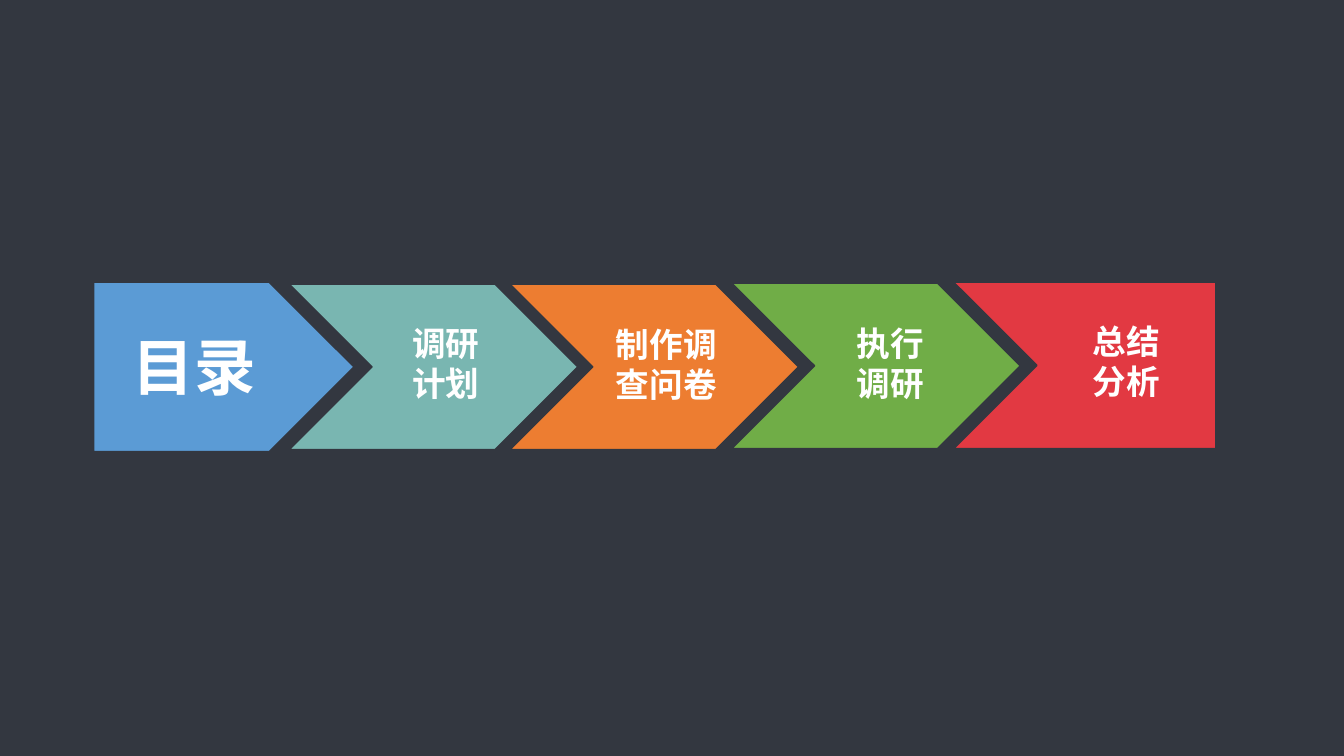
from dataclasses import dataclass

from lxml import etree
from pptx import Presentation
from pptx import util as u
from pptx.dml.color import RGBColor
from pptx.enum import shapes, text
from pptx.oxml import ns

FONT = "Noto Sans CJK SC"
DARK = RGBColor(0x33, 0x37, 0x40)
WHITE = RGBColor(0xFF, 0xFF, 0xFF)
BLUE = RGBColor(0x5B, 0x9B, 0xD5)
TEAL = RGBColor(0x79, 0xB6, 0xB1)
ORANGE = RGBColor(0xED, 0x7D, 0x31)
GREEN = RGBColor(0x70, 0xAD, 0x47)
RED = RGBColor(0xE2, 0x39, 0x42)
LINE_PITCH = 1.18


@dataclass(frozen=True)
class Box:
    """Place and size in inches."""
    x: float
    y: float
    w: float
    h: float


@dataclass(frozen=True)
class Arrow:
    """A preset arrow step."""
    kind: shapes.MSO_SHAPE
    box: Box
    color: RGBColor


@dataclass(frozen=True)
class Label:
    """Text lines of one step."""
    lines: tuple[str, ...]
    box: Box
    size: int = 24


ARROWS = [
    Arrow(shapes.MSO_SHAPE.PENTAGON, Box(0.93, 2.8, 2.58, 1.68), BLUE),
    Arrow(shapes.MSO_SHAPE.CHEVRON, Box(2.87, 2.82, 2.86, 1.64), TEAL),
    Arrow(shapes.MSO_SHAPE.CHEVRON, Box(5.06, 2.82, 2.86, 1.64), ORANGE),
    Arrow(shapes.MSO_SHAPE.CHEVRON, Box(7.26, 2.81, 2.86, 1.64), GREEN),
]
LAST_STEP = Box(9.46, 2.8, 2.6, 1.65)
LABELS = [
    Label(("目录",), Box(1.22, 3.22, 1.43, 0.83), 44),
    Label(("调研", "计划"), Box(3.99, 3.15, 1.54, 0.9)),
    Label(("制作调", "查问卷"), Box(6.01, 3.16, 1.44, 0.9)),
    Label(("执行", "调研"), Box(8.4, 3.15, 1.24, 0.9)),
    Label(("总结", "分析"), Box(10.74, 3.13, 1.38, 0.9)),
]


def place(box: Box) -> list[u.Length]:
    """Return the box as four lengths."""
    return [u.Inches(v) for v in (box.x, box.y, box.w, box.h)]


def paint(s, color: RGBColor) -> None:
    """Fill a shape and outline it in the background colour."""
    s.shadow.inherit = False
    s.fill.solid()
    s.fill.fore_color.rgb = color
    s.line.color.rgb = DARK
    s.line.width = u.Pt(1)


def add_last_step(slide, box: Box) -> None:
    """Draw the notched block with a flat right end."""
    x, y, w, h = place(box)
    outline = [(x + w, y), (x + w, y + h), (x, y + h), (x + h // 2, y + h // 2)]
    builder = slide.shapes.build_freeform(x, y)
    builder.add_line_segments(outline, close=True)
    paint(builder.convert_to_shape(), RED)


def add_label(slide, label: Label) -> None:
    """Write the lines of a step as paragraphs."""
    tf = slide.shapes.add_textbox(*place(label.box)).text_frame
    frame_format = {"word_wrap": True, "margin_top": u.Inches(0.06),
                    "auto_size": text.MSO_AUTO_SIZE.SHAPE_TO_FIT_TEXT}
    for name, value in frame_format.items():
        setattr(tf, name, value)
    for i, line in enumerate(label.lines):
        p = tf.add_paragraph() if i else tf.paragraphs[0]
        p.line_spacing = u.Pt(label.size * LINE_PITCH)
        r = p.add_run()
        r.text = line
        run_format = {"size": u.Pt(label.size), "bold": True, "name": FONT}
        for name, value in run_format.items():
            setattr(r.font, name, value)
        r.font.color.rgb = WHITE
        ea = etree.Element(ns.qn("a:ea"), typeface=FONT)
        r.font._element.find(ns.qn("a:latin")).addnext(ea)


def main() -> None:
    """Build and save the contents slide."""
    prs = Presentation()
    prs.slide_width, prs.slide_height = u.Inches(13.33), u.Inches(7.5)
    slide = prs.slides.add_slide(prs.slide_layouts[6])
    slide.background.fill.solid()
    slide.background.fill.fore_color.rgb = DARK
    for arrow in ARROWS:
        paint(slide.shapes.add_shape(arrow.kind, *place(arrow.box)), arrow.color)
    add_last_step(slide, LAST_STEP)
    for label in LABELS:
        add_label(slide, label)
    prs.save("out.pptx")


if __name__ == "__main__":
    main()
